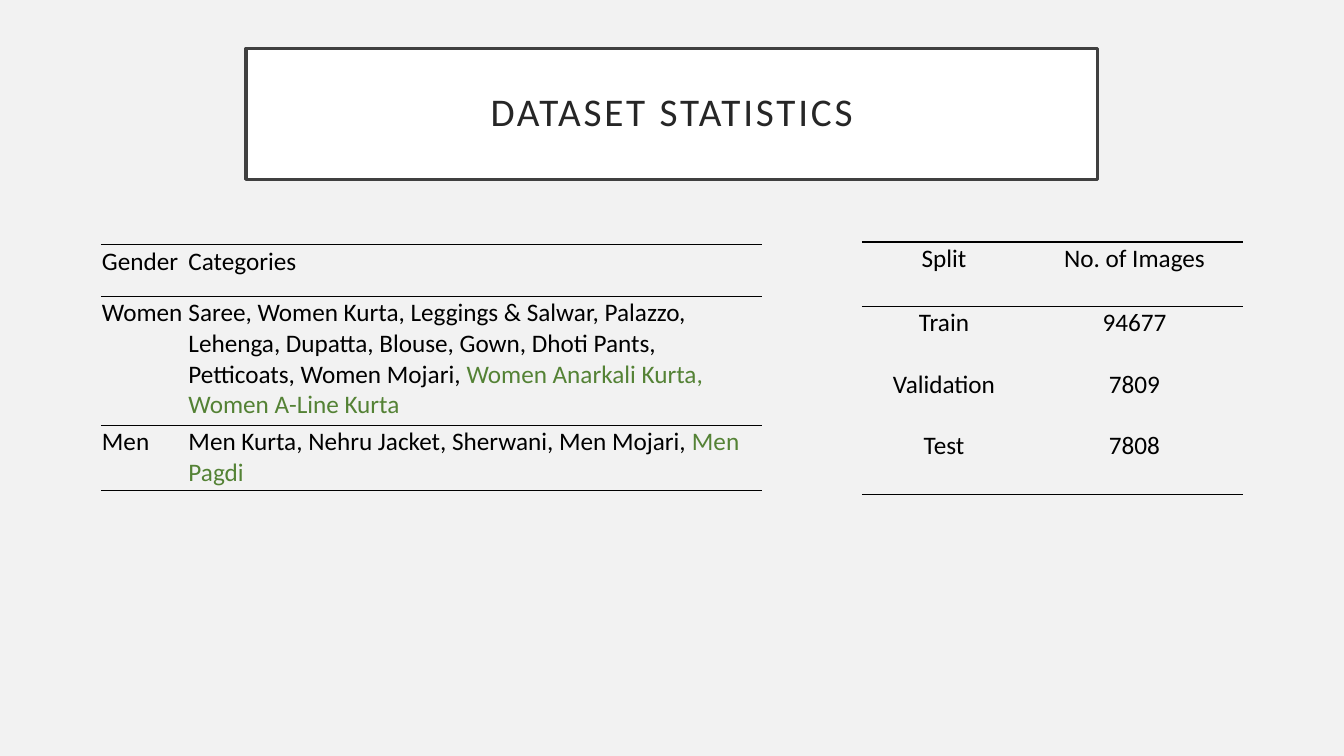
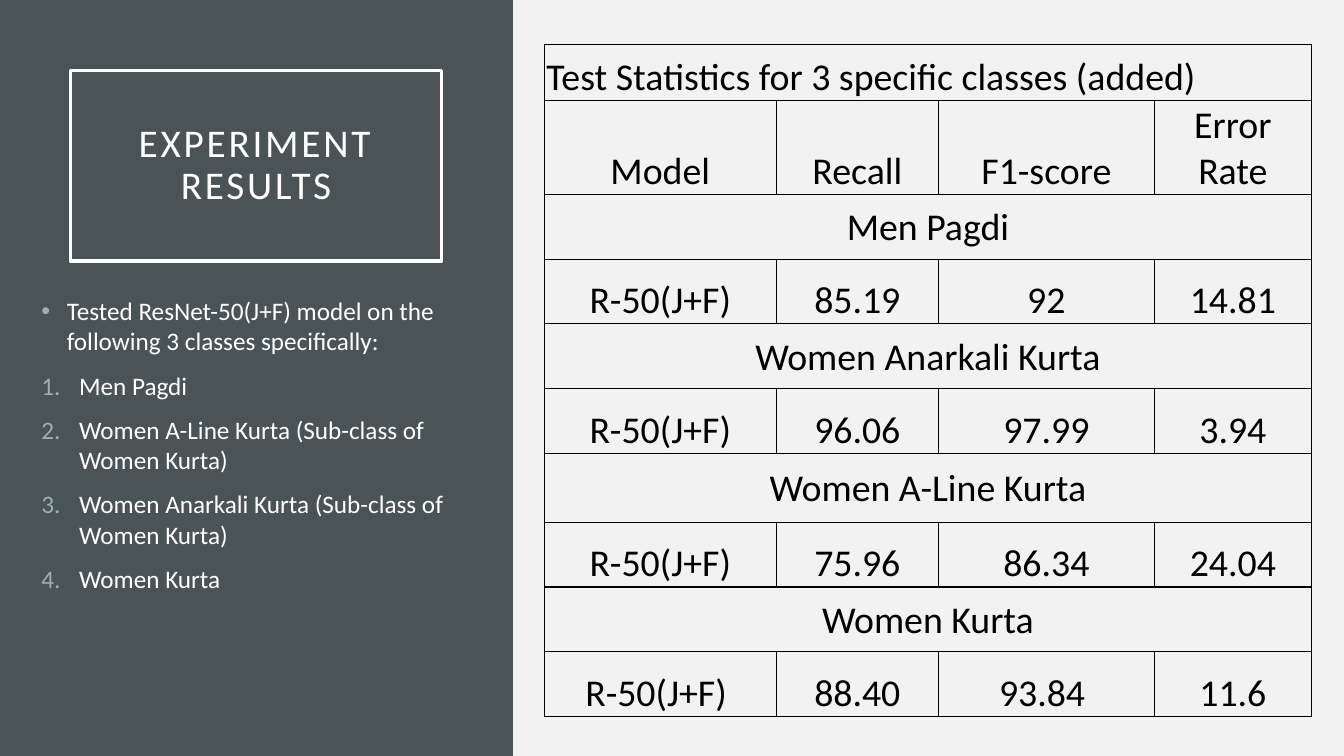
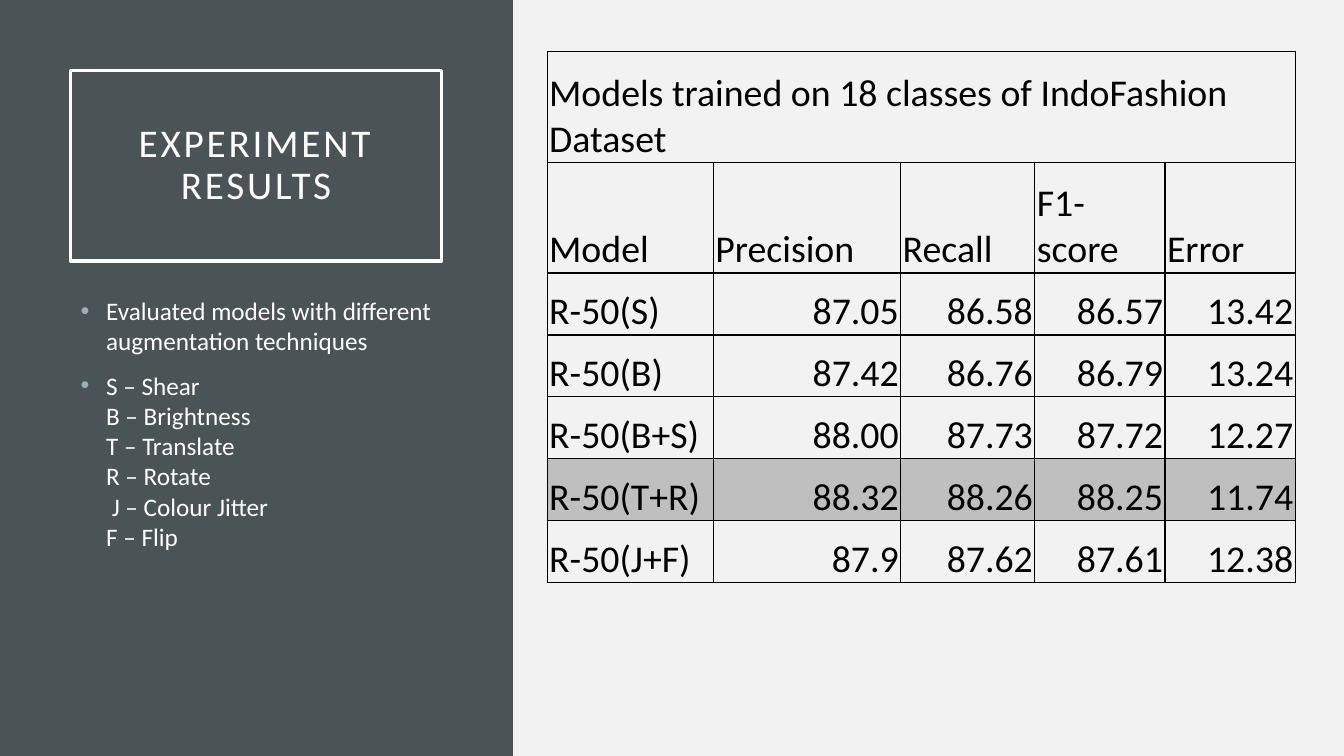
"""Build three slides on a clothing dataset and its test results."""
from lxml.etree import SubElement
from pptx import Presentation
from pptx.dml.color import RGBColor
from pptx.enum.shapes import MSO_SHAPE as Preset
from pptx.enum.text import MSO_ANCHOR as Anchor, MSO_AUTO_SIZE as AutoSize, PP_ALIGN as Align
from pptx.oxml.ns import qn
from pptx.util import Cm, Pt

FONT = "Calibri"
PAPER = RGBColor(0xF2, 0xF2, 0xF2)
SLATE = RGBColor(0x4A, 0x53, 0x56)
WHITE = RGBColor(0xFF, 0xFF, 0xFF)
BLACK = RGBColor(0x00, 0x00, 0x00)
INK = RGBColor(0x26, 0x26, 0x26)
FRAME = RGBColor(0x40, 0x40, 0x40)
GREEN = RGBColor(0x54, 0x82, 0x35)
BULLET = RGBColor(0x9B, 0xAF, 0xB5)
HIGHLIGHT = RGBColor(0xBF, 0xBF, 0xBF)
NO_TABLE_STYLE = "{2D5ABB26-0587-4C30-8999-92F81FD0307C}"
TITLE_ONLY, TITLE_AND_BODY = 5, 1

CATEGORIES = [
    ["Gender", "Categories"],
    ["Women", (
        ("Saree, Women Kurta, Leggings & Salwar, Palazzo, Lehenga, Dupatta, Blouse, "
         "Gown, Dhoti Pants, Petticoats, Women Mojari, ", BLACK),
        ("Women Anarkali Kurta, Women A-Line Kurta", GREEN))],
    ["Men", (("Men Kurta, Nehru Jacket, Sherwani, Men Mojari, ", BLACK), ("Men Pagdi", GREEN))],
]
SPLITS = [
    ["Split", "No. of Images"],
    ["Train", "94677"],
    ["Validation", "7809"],
    ["Test", "7808"],
]
CLASS_RESULTS = [
    ["Test Statistics for 3 specific classes (added)"],
    ["Model", "Recall", "F1-score", "Error Rate"],
    ["Men Pagdi"],
    ["R-50(J+F)", "85.19", "92", "14.81"],
    ["Women Anarkali Kurta"],
    ["R-50(J+F)", "96.06", "97.99", "3.94"],
    ["Women A-Line Kurta"],
    ["R-50(J+F)", "75.96", "86.34", "24.04"],
    ["Women Kurta"],
    ["R-50(J+F) ", "88.40", "93.84 ", "11.6"],
]
MODEL_RESULTS = [
    ["Models trained on 18 classes of IndoFashion Dataset"],
    ["Model", "Precision", "Recall", "F1-score", "Error"],
    ["R-50(S)", "87.05", "86.58", "86.57", "13.42"],
    ["R-50(B)", "87.42", "86.76", "86.79", "13.24"],
    ["R-50(B+S)", "88.00", "87.73", "87.72", "12.27"],
    ["R-50(T+R)", "88.32", "88.26", "88.25", "11.74"],
    ["R-50(J+F)", "87.9", "87.62", "87.61", "12.38"],
]
BEST_ROW = 5


def write(para, text, size=18, color=BLACK, align=Align.LEFT, spacing=0):
    """Append text to a paragraph, with a line break at each newline."""
    para.alignment = align
    for number, line in enumerate(text.split("\n")):
        if number:
            para.add_line_break()
        span = para.add_run()
        span.text = line
        span.font.name, span.font.size = FONT, Pt(size)
        span.font.color.rgb = color
        if spacing:
            span._r.get_or_add_rPr().set("spc", str(spacing * 100))


def place(shape, left, top, width, height):
    """Move and size a shape, in centimetres."""
    shape.left, shape.top = Cm(left), Cm(top)
    shape.width, shape.height = Cm(width), Cm(height)


def set_margins(box, side, bottom):
    """Set the inner margins of a cell or text frame, in centimetres."""
    box.margin_left = box.margin_right = box.margin_top = Cm(side)
    box.margin_bottom = Cm(bottom)


def style_master(deck):
    """Set the background and body text size that all slides share."""
    fill = deck.slide_master.background.fill
    fill.solid()
    fill.fore_color.rgb = PAPER
    steps = "p:txStyles", "p:bodyStyle", "a:lvl1pPr", "a:defRPr"
    deck.slide_master.element.find("/".join(map(qn, steps))).set("sz", "1800")


def add_title(page, text, bounds, color, line, fill=None):
    """Fill the title placeholder and frame it."""
    title = page.shapes.title
    place(title, *bounds)
    if fill is None:
        title.fill.background()
    else:
        title.fill.solid()
        title.fill.fore_color.rgb = fill
    title.line.color.rgb, title.line.width = line, Pt(2.5)
    frame = title.text_frame
    frame.word_wrap, frame.auto_size = True, AutoSize.NONE
    frame.vertical_anchor = Anchor.MIDDLE
    set_margins(frame, 0.51, 0.51)
    para = frame.paragraphs[0]
    para.line_spacing = 0.9
    write(para, text, size=28, color=color, align=Align.CENTER, spacing=2)


def add_bullet(para, indent, numbered):
    """Give a paragraph a hanging bullet or number."""
    props = para._p.get_or_add_pPr()
    props.set("marL", str(Cm(indent)))
    props.set("indent", str(-Cm(indent)))
    color = SubElement(props, qn("a:buClr"))
    SubElement(color, qn("a:srgbClr"), val=str(BULLET))
    if numbered:
        SubElement(props, qn("a:buAutoNum"), type="arabicPeriod")
    else:
        SubElement(props, qn("a:buChar"), char="•")


def add_list(page, bounds, bullets, numbers=()):
    """Fill the body placeholder with bullets, then numbered items."""
    body = page.placeholders[1]
    place(body, *bounds)
    frame = body.text_frame
    frame.word_wrap, frame.auto_size = True, AutoSize.NONE
    for index, text in enumerate([*bullets, *numbers]):
        para = frame.add_paragraph() if index else frame.paragraphs[0]
        para.space_before, para.space_after = Pt(10), Pt(0)
        numbered = index >= len(bullets)
        add_bullet(para, 0.95 if numbered else 0.64, numbered)
        write(para, text, color=WHITE)


def add_results_page(deck):
    """Add a slide with the dark side panel and its framed title."""
    page = deck.slides.add_slide(deck.slide_layouts[TITLE_AND_BODY])
    panel = page.shapes.add_shape(Preset.RECTANGLE, 0, 0, Cm(12.93), deck.slide_height)
    panel.shadow.inherit = False
    panel.fill.solid()
    panel.fill.fore_color.rgb = SLATE
    panel.line.fill.background()
    page.shapes.title.element.addprevious(panel.element)
    add_title(page, "EXPERIMENT RESULTS", (1.78, 1.78, 9.35, 4.8), WHITE, WHITE)
    return page


def draw_borders(cell, edges):
    """Draw the named edges of a cell, and clear the others."""
    props = cell._tc.get_or_add_tcPr()
    for index, edge in enumerate("LRTB"):
        line = SubElement(props, qn("a:ln" + edge), w=str(Pt(1)))
        if edge in edges:
            fill = SubElement(line, qn("a:solidFill"))
            SubElement(fill, qn("a:srgbClr"), val=str(BLACK))
        else:
            SubElement(line, qn("a:noFill"))
        props.insert(index, line)


def add_grid(page, rows, left, top, widths, heights, size, margin, layout, edges, best=None):
    """Add a table; a row of one cell spans it, layout gives alignment and anchor."""
    shape = page.shapes.add_table(len(rows), len(widths), Cm(left), Cm(top),
                                  Cm(sum(widths)), Cm(sum(heights)))
    table = shape.table
    table.first_row = table.horz_banding = False
    next(shape.element.iter(qn("a:tableStyleId"))).text = NO_TABLE_STYLE
    for column, width in zip(table.columns, widths):
        column.width = Cm(width)
    for r, (row, height) in enumerate(zip(rows, heights)):
        table.rows[r].height = Cm(height)
        if len(row) == 1:
            table.cell(r, 0).merge(table.cell(r, len(widths) - 1))
        for c in range(len(widths)):
            cell = table.cell(r, c)
            if r == best:
                cell.fill.solid()
                cell.fill.fore_color.rgb = HIGHLIGHT
            else:
                cell.fill.background()
            draw_borders(cell, edges(r))
            if c >= len(row):
                continue
            align, cell.vertical_anchor = layout(r, c)
            set_margins(cell, margin, 0)
            spans = ((row[c], BLACK),) if isinstance(row[c], str) else row[c]
            for text, color in spans:
                write(cell.text_frame.paragraphs[0], text, size=size, color=color, align=align)


def class_layout(row, column):
    """Centre all but the heading row, with class names in mid-height."""
    if row == 0:
        return Align.LEFT, Anchor.BOTTOM
    return Align.CENTER, Anchor.MIDDLE if len(CLASS_RESULTS[row]) == 1 else Anchor.BOTTOM


def model_layout(row, column):
    """Align scores right and labels left."""
    return Align.RIGHT if row > 1 and column else Align.LEFT, Anchor.BOTTOM


def add_statistics(deck):
    """Add the slide on the dataset."""
    page = deck.slides.add_slide(deck.slide_layouts[TITLE_ONLY])
    add_title(page, "DATASET STATISTICS", (6.2, 1.22, 21.46, 3.3), INK, FRAME, fill=WHITE)
    add_grid(page, CATEGORIES, 2.54, 6.17, [2.18, 14.48], [1.3, 3.25, 1.63], 18, 0.03,
             lambda row, column: (Align.LEFT, Anchor.TOP), lambda row: "TB")
    add_grid(page, SPLITS, 21.72, 6.1, [4.14, 5.46], [1.63, 1.55, 1.55, 1.63], 18, 0.03,
             lambda row, column: (Align.CENTER, Anchor.TOP),
             lambda row: ("TB", "T", "", "B")[row])


def add_class_results(deck):
    """Add the slide on the results per class."""
    page = add_results_page(deck)
    add_list(page, (0.79, 7.32, 11.71, 10.52),
             ["Tested ResNet-50(J+F) model on the following 3 classes specifically:"],
             ["Men Pagdi", "Women A-Line Kurta (Sub-class of Women Kurta)",
              "Women Anarkali Kurta (Sub-class of Women Kurta)", "Women Kurta"])
    heights = [1.4, 2.32] + [1.63] * 4 + [1.74] + [1.63] * 3
    add_grid(page, CLASS_RESULTS, 13.72, 1.13, [5.84, 4.09, 5.44, 3.96], heights, 27, 0.05,
             class_layout, lambda row: "LRTB")


def add_model_results(deck):
    """Add the slide on the results per model."""
    page = add_results_page(deck)
    add_list(page, (1.78, 7.32, 9.35, 9.5),
             ["Evaluated models with different augmentation techniques",
              "S – Shear\nB – Brightness\nT – Translate\nR – Rotate\n J – Colour Jitter\nF – Flip"])
    add_grid(page, MODEL_RESULTS, 13.79, 1.3, [4.19, 4.72, 3.38, 3.28, 3.28],
             [2.79] * 2 + [1.56] * 5, 27, 0.05, model_layout, lambda row: "LRTB", best=BEST_ROW)


def main():
    """Build and save the deck."""
    deck = Presentation()
    deck.slide_width, deck.slide_height = Cm(33.87), Cm(19.05)
    style_master(deck)
    add_statistics(deck)
    add_class_results(deck)
    add_model_results(deck)
    deck.save("out.pptx")


if __name__ == "__main__":
    main()
